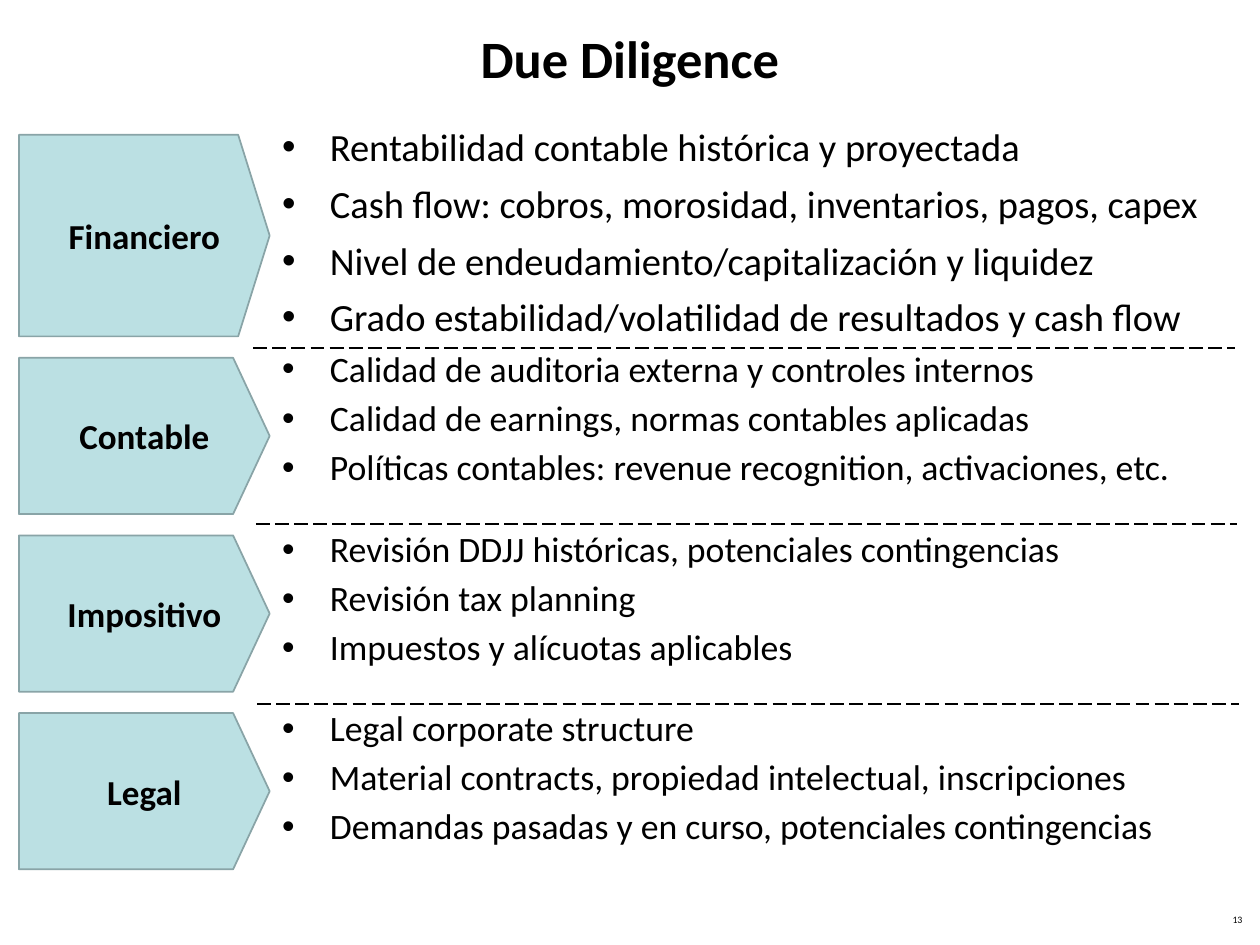
from dataclasses import dataclass

from lxml import etree
from pptx import Presentation
from pptx.dml.color import RGBColor
from pptx.enum import dml, shapes, text
from pptx.oxml import ns
from pptx.util import Inches, Pt


@dataclass(frozen=True)
class Theme:
    font: str = "Calibri"
    ink: RGBColor = RGBColor(0, 0, 0)
    fill: RGBColor = RGBColor(0xBB, 0xE0, 0xE3)
    edge: RGBColor = RGBColor(0x89, 0xA4, 0xA7)
    title: float = 30
    label: float = 20
    large: float = 22
    body: float = 20.4
    page: float = 5.6


@dataclass(frozen=True)
class Topic:
    name: str
    height: float
    tip: float
    top: float
    size: float
    pitch: float
    items: tuple


THEME = Theme()
LEFT, WIDTH, START, GAP = 0.15, 1.99, 1.07, 0.17
RULES = ((2.01, 2.76), (2.03, 4.16), (2.04, 5.59))
TOPICS = (
    Topic("Financiero", 1.6, 0.25, 0.93, THEME.large, 1, (
        "Rentabilidad contable histórica y proyectada",
        "Cash flow: cobros, morosidad, inventarios, pagos, capex",
        "Nivel de endeudamiento/capitalización y liquidez",
        "Grado estabilidad/volatilidad de resultados y cash flow")),
    Topic("Contable", 1.24, 0.29, 2.74, THEME.body, 0.9, (
        "Calidad de auditoria externa y controles internos",
        "Calidad de earnings, normas contables aplicadas",
        "Políticas contables: revenue recognition, activaciones, etc.")),
    Topic("Impositivo", 1.24, 0.29, 4.17, THEME.body, 0.9, (
        "Revisión DDJJ históricas, potenciales contingencias",
        "Revisión tax planning",
        "Impuestos y alícuotas aplicables")),
    Topic("Legal", 1.24, 0.29, 5.59, THEME.body, 0.9, (
        "Legal corporate structure",
        "Material contracts, propiedad intelectual, inscripciones",
        "Demandas pasadas y en curso, potenciales contingencias")),
)


def add_run(para, words, size, bold=False):
    run = para.add_run()
    run.text = words
    run.font.name = THEME.font
    run.font.size = Pt(size)
    run.font.bold = bold
    run.font.color.rgb = THEME.ink


def add_text(slide, box, words, size, align, bold=False, pitch=1):
    frame = slide.shapes.add_textbox(*map(Inches, box)).text_frame
    frame.word_wrap = True
    if bold:
        frame.vertical_anchor = text.MSO_ANCHOR.MIDDLE
    para = frame.paragraphs[0]
    para.alignment = align
    para.line_spacing = pitch
    add_run(para, words, size, bold)


def add_label(slide, box, topic):
    shape = slide.shapes.add_shape(
        shapes.MSO_SHAPE.PENTAGON, *map(Inches, box))
    shape.adjustments[0] = topic.tip / min(box[2:])
    shape.shadow.inherit = False
    shape.fill.solid()
    shape.fill.fore_color.rgb = THEME.fill
    shape.line.color.rgb = THEME.edge
    shape.line.width = Pt(1)
    frame = shape.text_frame
    frame.margin_left = Inches(0.1 + topic.tip / 2)
    frame.vertical_anchor = text.MSO_ANCHOR.MIDDLE
    para = frame.paragraphs[0]
    para.alignment = text.PP_ALIGN.CENTER
    add_run(para, topic.name, THEME.label, True)


def add_list(slide, box, topic):
    frame = slide.shapes.add_textbox(*map(Inches, box)).text_frame
    frame.word_wrap = True
    for rank, item in enumerate(topic.items):
        para = frame.add_paragraph() if rank else frame.paragraphs[0]
        para.space_before = Pt(6)
        para.line_spacing = topic.pitch
        props = para._p.get_or_add_pPr()
        props.set("marL", str(Inches(0.38)))
        props.set("indent", str(-Inches(0.38)))
        etree.SubElement(props, ns.qn("a:buFont"), typeface="Arial")
        etree.SubElement(props, ns.qn("a:buChar"), char="•")
        add_run(para, item, topic.size)


def add_rule(slide, left, top, width):
    rule = slide.shapes.add_connector(
        shapes.MSO_CONNECTOR.STRAIGHT,
        *map(Inches, (left, top, left + width, top)))
    rule.line.color.rgb = THEME.ink
    rule.line.width = Pt(1)
    rule.line.dash_style = dml.MSO_LINE.LONG_DASH
    etree.SubElement(rule._element.spPr, ns.qn("a:effectLst"))


def main():
    deck = Presentation()
    deck.slide_width, deck.slide_height = Inches(10), Inches(7.5)
    slide = deck.slides.add_slide(deck.slide_layouts[6])
    add_text(slide, (7.63, 7.22, 2.33, 0.21), "13", THEME.page,
             text.PP_ALIGN.RIGHT, pitch=0.8)
    add_text(slide, (0, 0, 10, 0.91), "Due Diligence", THEME.title,
             text.PP_ALIGN.CENTER, bold=True)
    top = START
    for topic in TOPICS:
        add_label(slide, (LEFT, top, WIDTH, topic.height), topic)
        top += topic.height + GAP
    for left, level in RULES:
        add_rule(slide, left, level, 7.79)
    for topic in TOPICS:
        depth = 2.03 if topic.size == THEME.large else 1.28
        add_list(slide, (LEFT + WIDTH, topic.top, 7.79, depth), topic)
    deck.save("out.pptx")


if __name__ == "__main__":
    main()
